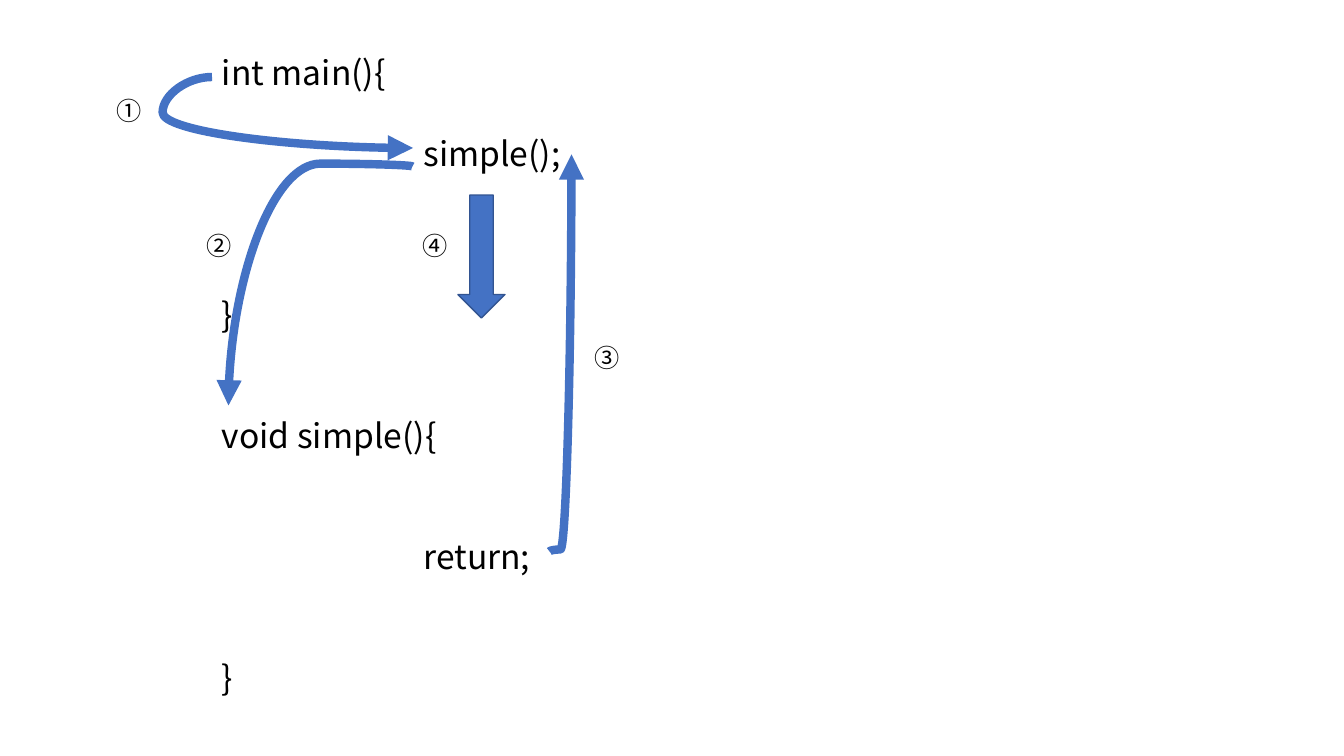
from lxml import etree
from pptx import Presentation, util as u
from pptx.dml.color import RGBColor
from pptx.enum import shapes, text
from pptx.oxml.ns import qn

PX = 914400 / 100.8
COLORS = {"blue": "4472C4", "outline": "325491", "ink": "000000"}
FONT = "Noto Sans CJK KR"
LINE_PITCH = 28.8
CODE = [
    ("int main(){", 0, 0),
    ("simple();", 1, 1),
    ("}", 0, 3),
    ("void simple(){", 0, 2),
    ("return;", 1, 2),
    ("}", 0, 2),
]
STEPS = [("①", 0, 0, 48), ("②", 90, 135, 44), ("③", 478, 247, 72), ("④", 306, 135, 72)]
CALLS = [
    ((105, 0), (306, 71), 0, -24600),
    ((94, 117), (333, 301), 90, -1200),
    ((652, 287), (255, 265), 90, 500),
]


def px(length):
    """Turn pixels into EMU."""
    return u.Emu(round(length * PX))


def color(name):
    """Return the named colour."""
    return RGBColor.from_string(COLORS[name])


def style(target, values):
    """Set every attribute named in values."""
    for name, value in values.items():
        setattr(target, name, value)


def add_text_box(slide, left, top, width, height):
    """Add a wrapping text box and return its text frame."""
    frame = slide.shapes.add_textbox(*map(px, (left, top, width, height))).text_frame
    style(frame, {"word_wrap": True, "auto_size": text.MSO_AUTO_SIZE.NONE})
    return frame


def write(paragraph, words, size):
    """Write words into a paragraph in the slide font."""
    run = paragraph.add_run()
    run.text = words
    style(run.font, {"size": u.Pt(size), "name": FONT})
    run.font.color.rgb = color("ink")
    fonts = etree.SubElement(run.font._element, qn("a:ea"))
    fonts.set("typeface", FONT)


def add_code(slide, left, top, width, height):
    """Write the two functions, spaced by whole code lines."""
    frame = add_text_box(slide, left, top, width, height)
    for index, (words, level, skipped) in enumerate(CODE):
        paragraph = frame.add_paragraph() if index else frame.paragraphs[0]
        write(paragraph, words, 24)
        style(paragraph, {
            "line_spacing": u.Pt(LINE_PITCH),
            "space_before": u.Pt(skipped * LINE_PITCH),
        })
        paragraph._p.get_or_add_pPr().set("marL", str(u.Inches(2 * level)))


def add_call(slide, begin, end, rotation, bend):
    """Draw one curved arrow of the call flow."""
    connector = slide.shapes.add_connector(
        shapes.MSO_CONNECTOR.CURVE, *map(px, begin + end))
    style(connector.line, {"width": u.Pt(6)})
    connector.line.color.rgb = color("blue")
    properties = connector._element.spPr
    if rotation:
        properties.find(qn("a:xfrm")).set("rot", str(rotation * 60000))
    geometry = properties.find(qn("a:prstGeom"))
    guides = geometry.find(qn("a:avLst"))
    if guides is None:
        guides = etree.SubElement(geometry, qn("a:avLst"))
    etree.SubElement(guides, qn("a:gd"), name="adj1", fmla=f"val {bend}")
    etree.SubElement(connector.line._ln, qn("a:tailEnd"), type="triangle")
    etree.SubElement(properties, qn("a:effectLst"))


def add_flow(slide, left, top):
    """Draw the numbered steps and arrows from the given corner."""
    for begin, end, rotation, bend in CALLS:
        add_call(slide, (left + begin[0], top + begin[1]),
                 (left + end[0], top + end[1]), rotation, bend)
    arrow = slide.shapes.add_shape(
        shapes.MSO_SHAPE.DOWN_ARROW, *map(px, (left + 351, top + 118, 47, 123)))
    arrow.shadow.inherit = False
    arrow.fill.solid()
    arrow.fill.fore_color.rgb = color("blue")
    arrow.line.color.rgb = color("outline")
    arrow.line.width = u.Pt(1)
    for number, across, down, width in STEPS:
        frame = add_text_box(slide, left + across, top + 13 + down, width, 40)
        write(frame.paragraphs[0], number, 18)


def main():
    """Build and save the slide."""
    presentation = Presentation()
    style(presentation, {"slide_width": u.Inches(13.333), "slide_height": u.Inches(7.5)})
    slide = presentation.slides.add_slide(presentation.slide_layouts[6])
    add_code(slide, 212, 47, 1025, 661)
    add_flow(slide, 107, 77)
    presentation.save("out.pptx")


if __name__ == "__main__":
    main()
